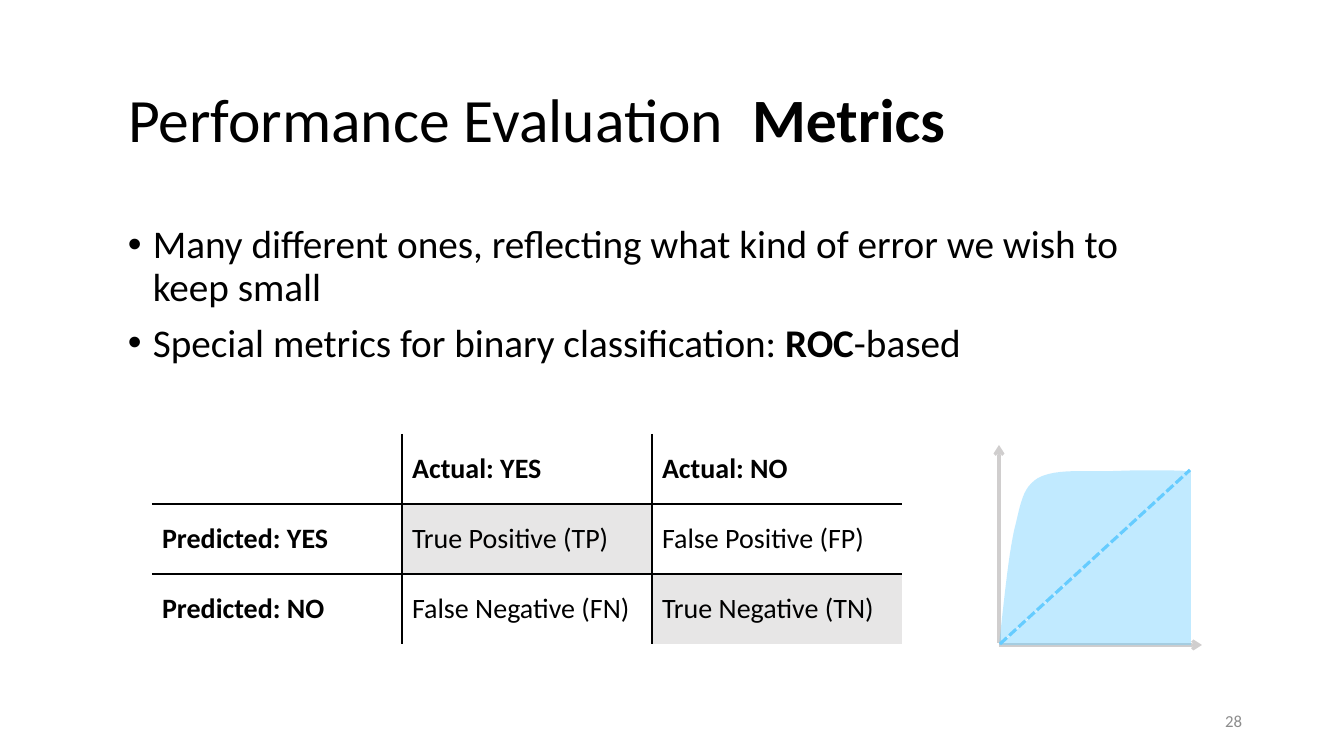
import dataclasses
from typing import Any, Optional

import pptx
import pptx.dml.color
import pptx.enum.dml
import pptx.enum.shapes
import pptx.enum.text
import pptx.oxml.ns
import pptx.util
from lxml import etree

RGBColor = pptx.dml.color.RGBColor
Pt = pptx.util.Pt
ALIGN = pptx.enum.text.PP_ALIGN
ANCHOR = pptx.enum.text.MSO_ANCHOR
qn = pptx.oxml.ns.qn

SCALE = 914400 / 100.8  # EMU per pixel
FONT = "Calibri"
BLACK = RGBColor(0x00, 0x00, 0x00)
NUMBER_GREY = RGBColor(0x8C, 0x8C, 0x8C)
CELL_GREY = RGBColor(0xE7, 0xE6, 0xE6)
AXIS_GREY = RGBColor(0xD0, 0xCE, 0xCE)
ROC_BLUE = RGBColor(0x66, 0xCC, 0xFF)


@dataclasses.dataclass(frozen=True)
class Run:
    text: str
    bold: bool = False


@dataclasses.dataclass(frozen=True)
class Cell:
    text: str
    bold: bool = False
    fill: Optional[RGBColor] = None


@dataclasses.dataclass(frozen=True)
class Line:
    start: tuple[int, int]
    end: tuple[int, int]
    color: RGBColor
    arrow: bool = False


def px(n: float) -> pptx.util.Emu:
    return pptx.util.Emu(round(n * SCALE))


def set_all(obj: Any, values: dict[str, Any]) -> None:
    for name, value in values.items():
        setattr(obj, name, value)


def place(sp: Any, x: int, y: int, w: int, h: int) -> None:
    set_all(sp, {"left": px(x), "top": px(y), "width": px(w), "height": px(h)})


def write(p: Any, runs: list[Run], size: int, color: RGBColor = BLACK) -> None:
    for run in runs:
        for i, text in enumerate(run.text.split("\n")):
            if i:
                p.add_line_break()
            r = p.add_run()
            r.text = text
            set_all(r.font, {"name": FONT, "size": Pt(size), "bold": run.bold})
            r.font.color.rgb = color


def add_bullet(p: Any, indent: int) -> None:
    pPr = p._p.get_or_add_pPr()
    pPr.set("marL", str(px(indent)))
    pPr.set("indent", str(-px(indent)))
    etree.SubElement(pPr, qn("a:buFont")).set("typeface", "Arial")
    etree.SubElement(pPr, qn("a:buChar")).set("char", "•")


def set_borders(cell: Any, visible: dict[str, bool]) -> None:
    tcPr = cell._tc.get_or_add_tcPr()
    for i, (side, shown) in enumerate(visible.items()):
        ln = etree.Element(qn(f"a:ln{side}"), w=str(Pt(1)))
        fill = etree.SubElement(ln, qn("a:solidFill" if shown else "a:noFill"))
        if shown:
            etree.SubElement(fill, qn("a:srgbClr")).set("val", str(BLACK))
        tcPr.insert(i, ln)


def add_line(shapes: Any, line: Line) -> None:
    straight = pptx.enum.shapes.MSO_CONNECTOR.STRAIGHT
    c = shapes.add_connector(straight, *map(px, line.start + line.end))
    c.line.color.rgb = line.color
    c.line.width = Pt(2.25)
    if line.arrow:
        etree.SubElement(c.line._get_or_add_ln(), qn("a:tailEnd")).set("type", "arrow")
    else:
        c.line.dash_style = pptx.enum.dml.MSO_LINE.SQUARE_DOT
    etree.SubElement(c._element.spPr, qn("a:effectLst"))


def style_area(sp: Any) -> None:
    sp.shadow.inherit = False
    sp.fill.solid()
    sp.fill.fore_color.rgb = ROC_BLUE
    sp.line.fill.background()
    clr = sp._element.spPr.find(qn("a:solidFill")).find(qn("a:srgbClr"))
    etree.SubElement(clr, qn("a:alpha")).set("val", "40000")


def bezier(knots: list[tuple[int, int]], steps: int = 12) -> list[tuple[int, int]]:
    """Points along joined cubic curves, in EMU."""
    points = [(px(knots[0][0]), px(knots[0][1]))]
    for i in range(0, len(knots) - 1, 3):
        for k in range(1, steps + 1):
            t = k / steps
            weights = ((1 - t) ** 3, 3 * t * (1 - t) ** 2, 3 * t * t * (1 - t), t ** 3)
            x, y = (sum(w * q[axis] for w, q in zip(weights, knots[i:i + 4]))
                    for axis in (0, 1))
            points.append((px(x), px(y)))
    return points


prs = pptx.Presentation()
set_all(prs, {"slide_width": px(1344), "slide_height": px(756)})
s = prs.slides.add_slide(prs.slide_layouts[5])

# Title
title = s.shapes.title
place(title, 118, 61, 1134, 124)
tf = title.text_frame
set_all(tf, {"vertical_anchor": ANCHOR.MIDDLE, "word_wrap": True})
p = tf.paragraphs[0]
set_all(p, {"alignment": ALIGN.LEFT, "line_spacing": 0.9})
write(p, [Run("Performance Evaluation  "), Run("Metrics", True)], 44)

# Bullets
BULLETS = [
    [Run("Many different ones, reflecting what kind of error we wish to \nkeep small")],
    [Run("Special metrics for binary classification: "), Run("ROC", True), Run("-based")],
]
tf = s.shapes.add_textbox(px(118), px(220), px(1112), px(180)).text_frame
tf.word_wrap = True
for i, runs in enumerate(BULLETS):
    p = tf.add_paragraph() if i else tf.paragraphs[0]
    set_all(p, {"line_spacing": 0.9, "space_before": Pt(10)})
    add_bullet(p, 25)
    write(p, runs, 28)

# Confusion matrix
MATRIX = [
    [Cell(""), Cell("Actual: YES", True), Cell("Actual: NO", True)],
    [Cell("Predicted: YES", True), Cell("True Positive (TP)", fill=CELL_GREY),
     Cell("False Positive (FP)")],
    [Cell("Predicted: NO", True), Cell("False Negative (FN)"),
     Cell("True Negative (TN)", fill=CELL_GREY)],
]
LAST = len(MATRIX) - 1
table = s.shapes.add_table(3, 3, px(152), px(434), px(750), px(210)).table
set_all(table, {"first_row": False, "horz_banding": False})
for i, row in enumerate(MATRIX):
    for j, item in enumerate(row):
        cell = table.cell(i, j)
        cell.vertical_anchor = ANCHOR.MIDDLE
        if item.fill is None:
            cell.fill.background()
        else:
            cell.fill.solid()
            cell.fill.fore_color.rgb = item.fill
        set_borders(cell, {"L": j > 0, "R": j < LAST, "T": i > 0, "B": i < LAST})
        if item.text:
            write(cell.text_frame.paragraphs[0], [Run(item.text, item.bold)], 20)

# ROC sketch: axes, area under the curve, chance diagonal
CURVE = [(999, 645), (1004, 602), (1008, 559), (1014, 531), (1021, 503), (1022, 488),
         (1038, 478), (1056, 468), (1089, 472), (1114, 471), (1139, 470), (1165, 470),
         (1190, 471)]
add_line(s.shapes, Line((999, 645), (1202, 645), AXIS_GREY, True))
add_line(s.shapes, Line((999, 643), (999, 445), AXIS_GREY, True))

start, *rest = bezier(CURVE)
builder = s.shapes.build_freeform(*start)
builder.add_line_segments(rest, close=True)
style_area(builder.convert_to_shape())

triangle = s.shapes.add_shape(pptx.enum.shapes.MSO_SHAPE.RIGHT_TRIANGLE,
                              px(1008), px(462), px(175), px(191))
triangle.rotation = 270
style_area(triangle)
add_line(s.shapes, Line((1000, 644), (1190, 470), ROC_BLUE))

# Slide number
tf = s.shapes.add_textbox(px(950), px(701), px(302), px(40)).text_frame
set_all(tf, {"word_wrap": True, "vertical_anchor": ANCHOR.MIDDLE})
p = tf.paragraphs[0]
p.alignment = ALIGN.RIGHT
write(p, [Run("28")], 12, NUMBER_GREY)

prs.save("out.pptx")
